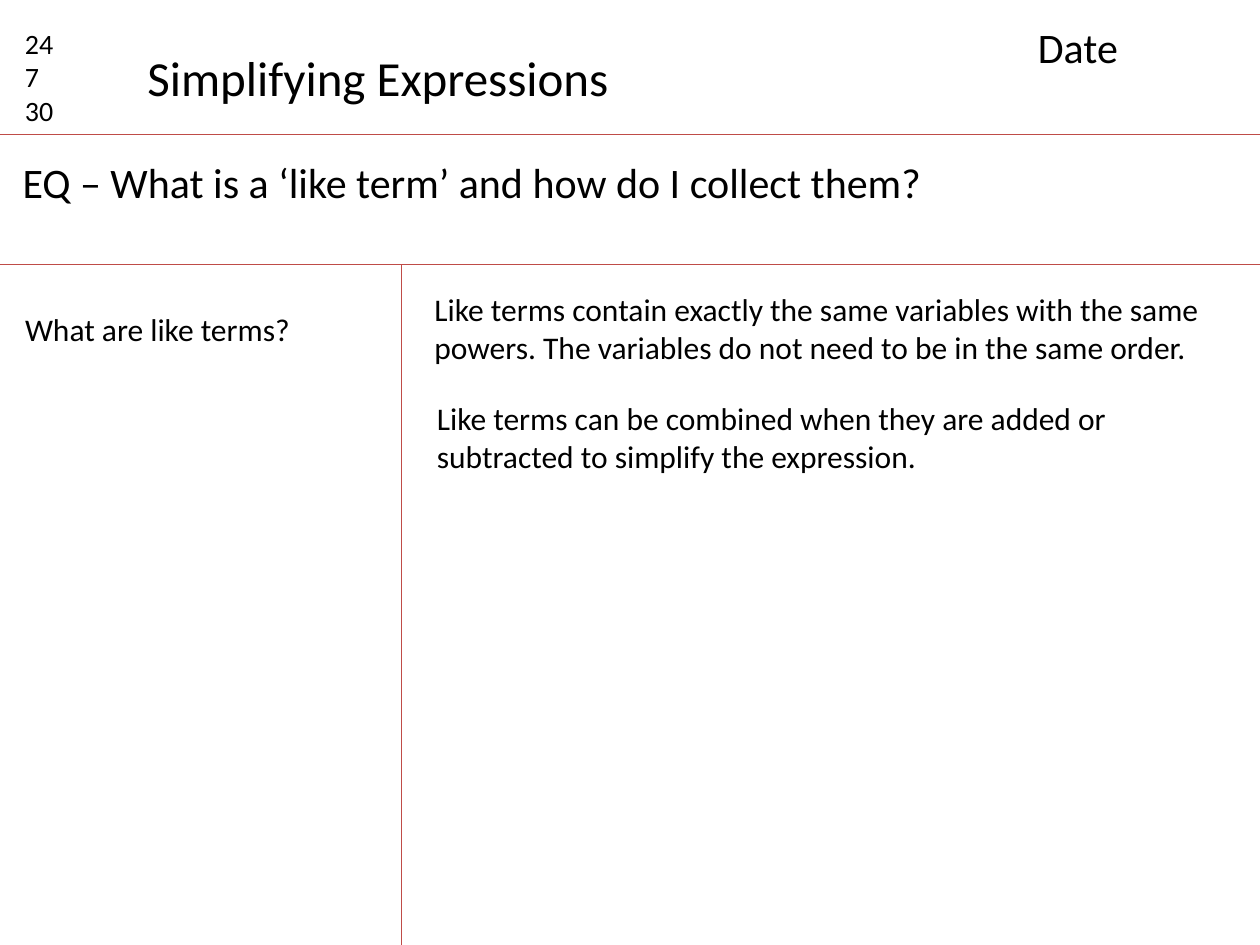
from pptx import Presentation
from pptx.dml.color import RGBColor
from pptx.enum.shapes import MSO_CONNECTOR
from pptx.enum.text import MSO_ANCHOR, MSO_AUTO_SIZE, PP_ALIGN
from pptx.oxml.ns import qn
from pptx.util import Pt
from lxml.etree import SubElement

BLACK, RED = "000000", "BF4C48"


def color(value):
    return RGBColor.from_string(value)


def write_text(shape, lines, size, wrap=True):
    frame = shape.text_frame
    frame.word_wrap = wrap
    frame.auto_size = MSO_AUTO_SIZE.SHAPE_TO_FIT_TEXT
    frame.vertical_anchor = MSO_ANCHOR.TOP
    for index, line in enumerate(lines):
        paragraph = frame.add_paragraph() if index else frame.paragraphs[0]
        paragraph.alignment = PP_ALIGN.LEFT
        paragraph.line_spacing = 1.0
        paragraph.space_before = Pt(0)
        run = paragraph.add_run()
        run.text = line
        run.font.name = "Calibri"
        run.font.size = Pt(size)
        run.font.color.rgb = color(BLACK)


presentation = Presentation()
presentation.slide_width, presentation.slide_height = Pt(720), Pt(540)
slide = presentation.slides.add_slide(presentation.slide_layouts[5])
slide.background.fill.solid()
slide.background.fill.fore_color.rgb = color("FFFFFF")

# Rules of the note page: header, question and margin column
header_y, question_y, margin_x = 77, 151.2, 229.5
rules = [
    (0, header_y, 720, header_y),
    (0, question_y, 720, question_y),
    (margin_x, question_y, margin_x, 553.7),
]
for ends in rules:
    rule = slide.shapes.add_connector(MSO_CONNECTOR.STRAIGHT, *map(Pt, ends))
    rule.line.color.rgb = color(RED)
    rule.line.width = Pt(0.75)
    SubElement(rule._element.spPr, qn("a:effectLst"))

title = slide.shapes.title
title.left, title.top, title.width, title.height = Pt(77), Pt(23.8), Pt(280.8), Pt(41)
write_text(title, ["Simplifying Expressions"], 28, wrap=False)

# left, top, width, height, size, lines
notes = [
    (7.2, 11.5, 45.4, 65.5, 16, ["24", "7", "30"]),
    (586, 8.6, 124.6, 36, 24, ["Date"]),
    (5.8, 85.7, 640.8, 36, 24, ["EQ – What is a ‘like term’ and how do I collect them?"]),
    (241.2, 162, 465, 51, 18, ["Like terms contain exactly the same variables with the same "
                               "powers. The variables do not need to be in the same order."]),
    (7.2, 173.5, 216.7, 29, 18, ["What are like terms?"]),
    (242.6, 224.6, 463.7, 51, 18, ["Like terms can be combined when they are added or "
                                   "subtracted to simplify the expression."]),
]
for left, top, width, height, size, lines in notes:
    box = slide.shapes.add_textbox(Pt(left), Pt(top), Pt(width), Pt(height))
    write_text(box, lines, size)

presentation.save("out.pptx")
